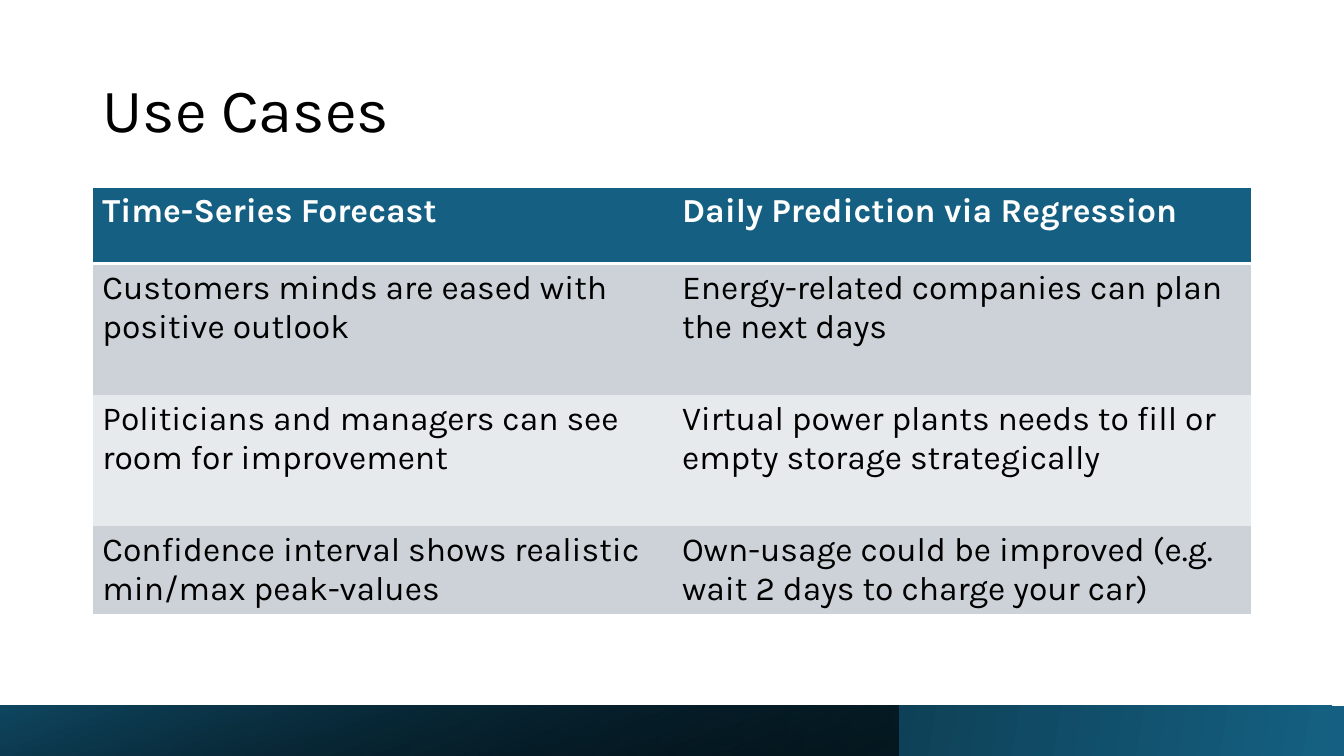
"""Build the Use Cases slide: a title, a two-column table and a gradient footer."""
from lxml.etree import SubElement
from pptx import Presentation
from pptx.dml.color import RGBColor
from pptx.enum.shapes import MSO_SHAPE as SHAPE
from pptx.enum.text import MSO_ANCHOR as ANCHOR, PP_ALIGN as ALIGN
from pptx.oxml.ns import qn
from pptx.util import Pt

PX = 9525
WIDTH, HEIGHT = 1280, 720
MARGIN, CONTENT_W = 88, 1104
FONT = "Karla"
PLAIN_STYLE = "{2D5ABB26-0587-4C30-8999-92F81FD0307C}"
COLORS = {
    "white": "FFFFFF",
    "black": "000000",
    "teal": "156082",
    "deep": "104862",
    "dark_band": "CCD2D8",
    "light_band": "E7EAED",
}
ROW_HEIGHTS = [73, 125, 125, 73]
USE_CASES = [
    ("Time-Series Forecast", "Daily Prediction via Regression"),
    ("Customers minds are eased with positive outlook",
     "Energy-related companies can plan the next days"),
    ("Politicians and managers can see room for improvement",
     "Virtual power plants needs to fill or empty storage strategically"),
    ("Confidence interval shows realistic min/max peak-values",
     "Own-usage could be improved (e.g. wait 2 days to charge your car)"),
]


def px(*lengths):
    return [n * PX for n in lengths]


def rgb(name):
    return RGBColor.from_string(COLORS[name])


def write(tf, text, size=24, color="black", bold=False, spacing=None):
    p = tf.paragraphs[0]
    p.alignment = ALIGN.LEFT
    p.line_spacing = spacing
    r = p.add_run()
    r.text = text
    r.font.name, r.font.size, r.font.bold = FONT, Pt(size), bold
    r.font.color.rgb = rgb(color)


def add_title(s, text):
    title = s.shapes.title
    title.left, title.top, title.width, title.height = px(MARGIN, 38, CONTENT_W, 139)
    title.text_frame.vertical_anchor = ANCHOR.MIDDLE
    write(title.text_frame, text, size=44, spacing=0.9)


def add_footer_band(s, width, colors, angle, rotation=0, start_alpha=100):
    sp = s.shapes.add_shape(SHAPE.RECTANGLE, *px(0, HEIGHT - 48, width, 48))
    sp.shadow.inherit = False
    sp.line.fill.background()
    sp.rotation = rotation
    sp._element.spPr.find(qn("a:xfrm")).set("flipH", "1")
    sp.fill.gradient()
    sp.fill.gradient_angle = 360 - angle
    for stop, color in zip(sp.fill.gradient_stops, colors):
        stop.color.rgb = rgb(color)
    if start_alpha < 100:
        first = next(sp._element.iter(qn("a:srgbClr")))
        SubElement(first, qn("a:alpha"), val=str(start_alpha * 1000))


def set_border(cell, side, points):
    tc_pr = cell._tc.get_or_add_tcPr()
    ln = SubElement(tc_pr, qn(f"a:ln{side}"), w=str(Pt(points)))
    fill = SubElement(ln, qn("a:solidFill"))
    SubElement(fill, qn("a:srgbClr"), val=COLORS["white"])


def add_table(s, rows):
    frame = s.shapes.add_table(len(rows), 2, *px(MARGIN, 178, CONTENT_W, sum(ROW_HEIGHTS)))
    table = frame.table
    table._tbl.tblPr.find(qn("a:tableStyleId")).text = PLAIN_STYLE
    for i, texts in enumerate(rows):
        header = i == 0
        band = "teal" if header else "dark_band" if i % 2 else "light_band"
        table.rows[i].height = ROW_HEIGHTS[i] * PX
        for j, text in enumerate(texts):
            cell = table.cell(i, j)
            write(cell.text_frame, text, color="white" if header else "black", bold=header)
            set_border(cell, "R" if j else "L", 1)
            if header:
                set_border(cell, "T", 1)
                set_border(cell, "B", 3)
            elif i == len(rows) - 1:
                set_border(cell, "B", 1)
            cell.fill.solid()
            cell.fill.fore_color.rgb = rgb(band)


def main():
    prs = Presentation()
    prs.slide_width, prs.slide_height = px(WIDTH, HEIGHT)
    s = prs.slides.add_slide(prs.slide_layouts[5])
    add_title(s, "Use Cases")
    add_footer_band(s, WIDTH, ("teal", "black"), 170, rotation=180)
    add_footer_band(s, 856, ("black", "deep"), 290, start_alpha=63)
    add_table(s, USE_CASES)
    prs.save("out.pptx")


if __name__ == "__main__":
    main()
